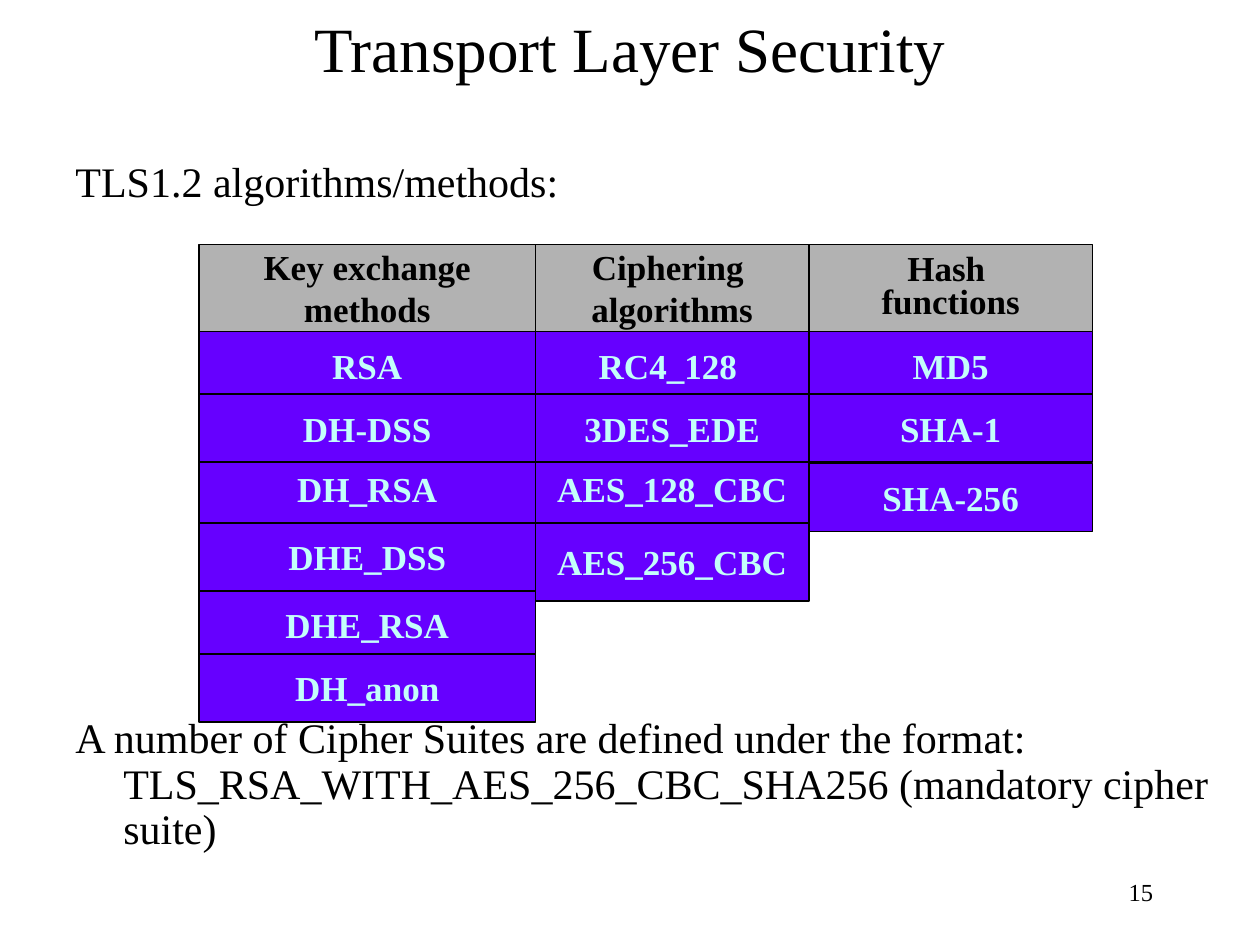
from pptx import Presentation
from pptx.dml.color import RGBColor
from pptx.enum.shapes import MSO_SHAPE
from pptx.enum.text import MSO_ANCHOR, PP_ALIGN
from pptx.util import Inches, Pt

RECTANGLE = MSO_SHAPE.RECTANGLE
TOP, MIDDLE = MSO_ANCHOR.TOP, MSO_ANCHOR.MIDDLE
LEFT, CENTER, RIGHT = PP_ALIGN.LEFT, PP_ALIGN.CENTER, PP_ALIGN.RIGHT

FONT = "Times New Roman"
COLORS = {"text": "000000", "line": "000000", "header": "B2B2B2",
          "cell": "6600FF", "cell_text": "C4FEFA"}

TITLE = "Transport Layer Security"
BODY = [
    "TLS1.2 algorithms/methods:",
    "A number of Cipher Suites are defined under the format: "
    "TLS_RSA_WITH_AES_256_CBC_SHA256 (mandatory cipher suite)",
]
PAGE_NUMBER = "15"

HEADER_TOP, HEADER_HEIGHT, CELL_HEIGHT = 1.94, 0.69, 0.54
GRID_LEFT = 1.58
# Cells are (text, top, height), listed from back to front where they overlap.
COLUMNS = [
    {"header": ["Key exchange", "methods"], "width": 2.67, "spacing": None,
     "cells": [("RSA", 2.63, CELL_HEIGHT), ("DH_RSA", 3.61, CELL_HEIGHT),
               ("DH-DSS", 3.13, CELL_HEIGHT), ("DHE_DSS", 4.15, CELL_HEIGHT),
               ("DHE_RSA", 4.69, CELL_HEIGHT), ("DH_anon", 5.19, CELL_HEIGHT)]},
    {"header": ["Ciphering ", "algorithms"], "width": 2.17, "spacing": None,
     "cells": [("RC4_128 ", 2.63, CELL_HEIGHT), ("AES_128_CBC", 3.61, CELL_HEIGHT),
               ("3DES_EDE", 3.13, CELL_HEIGHT), ("AES_256_CBC", 4.15, 0.62)]},
    {"header": ["Hash ", "functions"], "width": 2.25, "spacing": 0.8,
     "cells": [("MD5", 2.63, CELL_HEIGHT), ("SHA-1", 3.13, CELL_HEIGHT),
               ("SHA-256", 3.68, CELL_HEIGHT)]},
]


def write(shape, lines, size, color="text", bold=False, align=LEFT,
          anchor=TOP, wrap=True, spacing=None):
    frame = shape.text_frame
    frame.word_wrap = wrap
    frame.vertical_anchor = anchor
    for index, line in enumerate(lines):
        para = frame.paragraphs[0] if index == 0 else frame.add_paragraph()
        para.alignment = align
        if spacing:
            para.line_spacing = spacing
        span = para.add_run()
        span.text = line
        span.font.name = FONT
        span.font.size = Pt(size)
        span.font.bold = bold
        span.font.color.rgb = RGBColor.from_string(COLORS[color])
    return frame


def add_text(page, place, lines, size, **text_format):
    box = page.shapes.add_textbox(*map(Inches, place))
    return write(box, lines, size, **text_format)


def add_cell(page, place, lines, fill, color, spacing=None):
    box = page.shapes.add_shape(RECTANGLE, *map(Inches, place))
    box.shadow.inherit = False
    box.fill.solid()
    box.fill.fore_color.rgb = RGBColor.from_string(COLORS[fill])
    box.line.color.rgb = RGBColor.from_string(COLORS["line"])
    box.line.width = Pt(1)
    write(box, lines, 20, color=color, bold=True, align=CENTER,
          anchor=MIDDLE, wrap=False, spacing=spacing)


def add_body(page):
    frame = add_text(page, (0.5, 1.23, 9.25, 6.22), BODY, 24, spacing=0.9)
    for para in frame.paragraphs:
        properties = para._p.get_or_add_pPr()
        properties.set("marL", str(Inches(0.38)))
        properties.set("indent", str(Inches(-0.38)))
    # Leaves room for the grid between the two paragraphs.
    frame.paragraphs[1].space_before = Pt(292)


def add_grid(page):
    left = GRID_LEFT
    for column in COLUMNS:
        width = column["width"]
        for text, top, height in column["cells"]:
            add_cell(page, (left, top, width, height), [text], "cell", "cell_text")
        add_cell(page, (left, HEADER_TOP, width, HEADER_HEIGHT),
                 column["header"], "header", "text", column["spacing"])
        left += width


def main():
    deck = Presentation()
    deck.slide_width, deck.slide_height = Inches(10), Inches(7.5)
    page = deck.slides.add_slide(deck.slide_layouts[6])
    add_text(page, (7.17, 6.83, 2.08, 0.5), [PAGE_NUMBER], 14,
             align=RIGHT, anchor=MIDDLE)
    add_body(page)
    add_grid(page)
    add_text(page, (0.5, -0.01, 9, 0.77), [TITLE], 36, align=CENTER, anchor=MIDDLE)
    deck.save("out.pptx")


if __name__ == "__main__":
    main()
